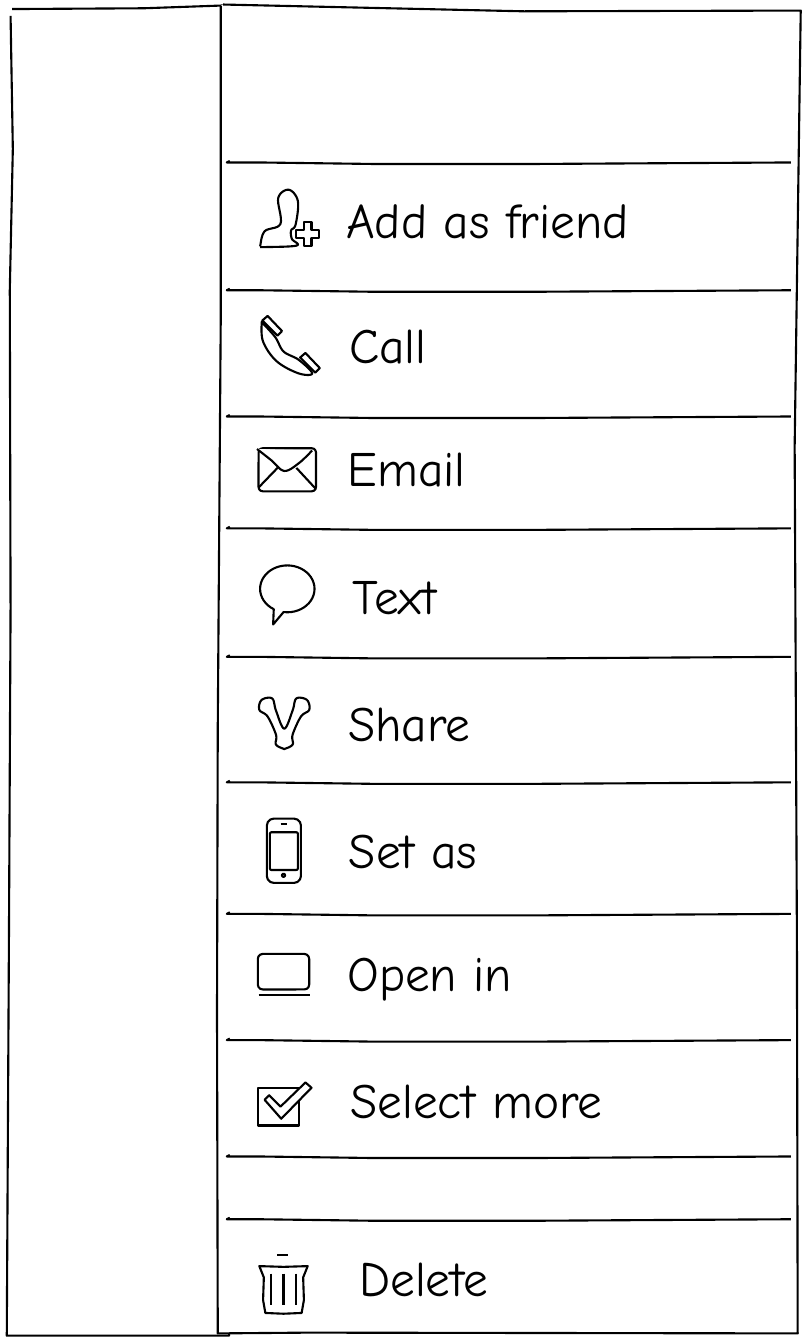
from pptx import Presentation
from pptx.dml.color import RGBColor
from pptx.enum.shapes import MSO_CONNECTOR, MSO_SHAPE
from pptx.enum.text import MSO_ANCHOR, MSO_AUTO_SIZE, PP_ALIGN
from pptx.oxml import parse_xml
from pptx.oxml.ns import nsdecls
from pptx.util import Cm, Pt

# Content: all places are in inches
PAGE_WIDTH, PAGE_HEIGHT = 10.66, 17.78
INK, PAPER, FONT = "000000", "FFFFFF", "Comic Neue"
LABEL_SIZE, LABEL_HEIGHT = 47, 0.78

PANELS = [
    [(0.14, 0.21), (0.17, 1.97), (0.13, 3.84), (0.14, 8.04), (0.12, 12.14), (0.09, 17.67),
     (3.03, 17.67), (3.03, 0.07), (1.9, 0.11), (0.16, 0.12)],
    [(2.95, 0.06), (6.93, 0.15), (10.59, 0.14), (10.51, 5.91), (10.54, 12.43), (10.55, 17.64),
     (4.07, 17.63), (2.88, 17.64), (2.87, 13.39), (2.88, 9.65), (2.92, 4.13), (2.92, 0.08)],
]
DIVIDER = [(3.04, 0), (3, 0.02), (3.43, 0.02), (4.94, 0.04), (7.06, 0.04), (10.46, 0.02)]
DIVIDER_TOPS = [2.13, 3.82, 5.49, 6.97, 8.67, 10.33, 12.07, 13.74, 15.28, 16.11]

# Label, left, top, width
LABELS = [
    ("Add as friend", 4.41, 2.5, 4.08),
    ("Call", 4.57, 4.16, 1.12),
    ("Email", 4.54, 5.79, 1.68),
    ("Text", 4.56, 7.48, 1.31),
    ("Share", 4.53, 9.16, 1.77),
    ("Set as", 4.56, 10.84, 1.81),
    ("Open in", 4.47, 12.47, 2.43),
    ("Select more", 4.49, 14.14, 3.63),
    ("Delete", 4.61, 16.5, 1.99),
]

# Icon outlines that need their own points
PERSON = [(3.44, 3.26), (3.5, 3.06), (3.71, 2.96), (3.68, 2.62), (3.82, 2.51), (3.94, 2.66),
          (3.91, 2.97), (3.85, 3.05), (3.86, 3.16), (3.92, 3.25), (3.44, 3.27)]
HANDSET = [(3.46, 4.26), (3.48, 4.52), (3.66, 4.78), (3.95, 4.94), (4.13, 4.94),
           (3.95, 4.76), (3.75, 4.65), (3.64, 4.46), (3.46, 4.26)]
HANDSET_CAP = [(3.47, 4.24), (3.67, 4.44), (3.73, 4.38), (3.54, 4.18), (3.47, 4.24)]
CAP_SHIFTS = [(0, 0), (0.5, 0.49)]
FLAP = [(3.4, 5.94), (3.59, 6.09), (3.76, 6.23), (3.95, 6.13), (4.13, 5.96)]
SHARE_AXIS = 3.76
SHARE_HALF = [(3.76, 9.91), (3.65, 9.85), (3.65, 9.72), (3.54, 9.48), (3.43, 9.39),
              (3.46, 9.26), (3.6, 9.24), (3.65, 9.4), (3.76, 9.64)]
CHECK = [(3.5, 14.55), (3.72, 14.8), (4.12, 14.39), (4.04, 14.32), (3.71, 14.64),
         (3.56, 14.49), (3.5, 14.55)]
BIN_AXIS = 3.75
BIN_HALF = [(3.75, 16.76), (3.43, 16.75), (3.49, 16.9), (3.48, 17.2), (3.51, 17.37), (3.75, 17.38)]

# Preset, left, top, width, height, adjustments
PRESETS = [
    (MSO_SHAPE.CROSS, 3.92, 2.94, 0.3, 0.31, [0.33]),
    (MSO_SHAPE.ROUNDED_RECTANGLE, 3.42, 5.93, 0.76, 0.57, [0.1]),
    (MSO_SHAPE.OVAL_CALLOUT, 3.44, 7.48, 0.72, 0.62, [-0.26, 0.76]),
    (MSO_SHAPE.ROUNDED_RECTANGLE, 3.53, 10.83, 0.45, 0.85, [0.2]),
    (MSO_SHAPE.ROUNDED_RECTANGLE, 3.57, 11.01, 0.37, 0.5, [0.06]),
    (MSO_SHAPE.OVAL, 3.73, 11.56, 0.04, 0.04, []),
    (MSO_SHAPE.ROUNDED_RECTANGLE, 3.41, 12.62, 0.68, 0.47, [0.14]),
    (MSO_SHAPE.RECTANGLE, 3.41, 14.39, 0.54, 0.5, []),
]
# From x, from y, to x, to y
STROKES = [
    (3.42, 6.45, 3.68, 6.18), (3.92, 6.19, 4.17, 6.46),
    (3.71, 10.9, 3.8, 10.9), (3.42, 13.16, 4.1, 13.16), (3.67, 16.6, 3.81, 16.6),
]
BIN_RIBS = [(x, 16.85, x, 17.27) for x in (3.58, 3.75, 3.92)]


def inches(value):
    return Cm(value * 2.54)


def color(hex_code):
    return RGBColor.from_string(hex_code)


def draw_line(line):
    line.color.rgb = color(INK)
    line.width = Pt(2)


def paint(shape):
    shape.shadow.inherit = False
    shape.fill.solid()
    shape.fill.fore_color.rgb = color(PAPER)
    draw_line(shape.line)


def mirrored(half, axis):
    """Complete a half outline with its reflection in a vertical axis."""
    return half + [(2 * axis - x, y) for x, y in half[-2::-1]]


def smoothed(points, steps=8):
    """Lay a smooth curve through the points."""
    padded = [points[0], *points, points[-1]]
    curve = [points[0]]
    for knots in zip(padded, padded[1:], padded[2:], padded[3:]):
        for step in range(1, steps + 1):
            t = step / steps
            curve.append(tuple(
                b + t * (c - a) / 2 + t * t * (a - 2.5 * b + 2 * c - d / 2)
                + t ** 3 * (3 * (b - c) + d - a) / 2
                for a, b, c, d in zip(*knots)))
    return curve


def add_sketch(page, points, right=0, down=0):
    start, *rest = [(inches(x + right), inches(y + down)) for x, y in points]
    builder = page.shapes.build_freeform(*start)
    builder.add_line_segments(rest, close=False)
    paint(builder.convert_to_shape())


def add_stroke(page, ends):
    stroke = page.shapes.add_connector(MSO_CONNECTOR.STRAIGHT, *map(inches, ends))
    draw_line(stroke.line)
    stroke._element.spPr.append(parse_xml(f"<a:effectLst {nsdecls('a')}/>"))


def add_preset(page, kind, left, top, width, height, adjustments):
    shape = page.shapes.add_shape(kind, *map(inches, (left, top, width, height)))
    for index, value in enumerate(adjustments):
        shape.adjustments[index] = value
    paint(shape)


def add_label(page, text, *, left, top, width, size=LABEL_SIZE, ink=INK):
    box = page.shapes.add_textbox(*map(inches, (left, top, width, LABEL_HEIGHT)))
    frame = box.text_frame
    frame.margin_left = frame.margin_right = frame.margin_top = frame.margin_bottom = 0
    frame.word_wrap = False
    frame.auto_size = MSO_AUTO_SIZE.SHAPE_TO_FIT_TEXT
    frame.vertical_anchor = MSO_ANCHOR.MIDDLE
    para = frame.paragraphs[0]
    para.alignment = PP_ALIGN.CENTER
    span = para.add_run()
    span.text = text
    span.font.name, span.font.size = FONT, Pt(size)
    span.font.color.rgb = color(ink)


def main():
    deck = Presentation()
    deck.slide_width, deck.slide_height = inches(PAGE_WIDTH), inches(PAGE_HEIGHT)
    page = deck.slides.add_slide(deck.slide_layouts[6])

    # Panels and dividers
    for panel in PANELS:
        add_sketch(page, panel)
    for top in DIVIDER_TOPS:
        add_sketch(page, DIVIDER, down=top)

    # Icons
    add_sketch(page, smoothed(PERSON))
    add_sketch(page, smoothed(HANDSET))
    for right, down in CAP_SHIFTS:
        add_sketch(page, HANDSET_CAP, right, down)
    add_sketch(page, smoothed(mirrored(SHARE_HALF, SHARE_AXIS)))
    add_sketch(page, mirrored(BIN_HALF, BIN_AXIS))
    for preset in PRESETS:
        add_preset(page, *preset)
    add_sketch(page, smoothed(FLAP))
    add_sketch(page, CHECK)
    for ends in STROKES + BIN_RIBS:
        add_stroke(page, ends)

    # Labels
    for text, left, top, width in LABELS:
        add_label(page, text, left=left, top=top, width=width)

    deck.save("out.pptx")


if __name__ == "__main__":
    main()
